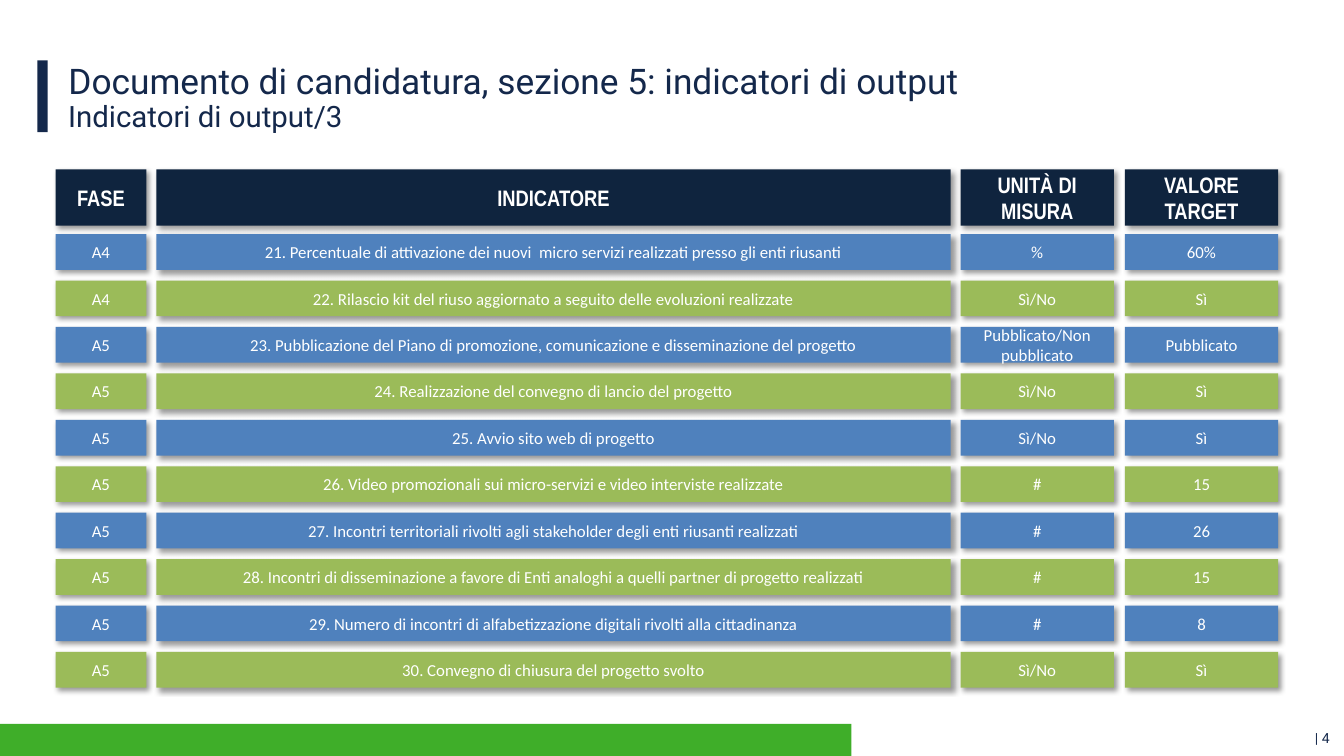
import pptx
import pptx.util
import pptx.dml.color
import pptx.enum.shapes
import pptx.enum.text
import pptx.oxml
import pptx.oxml.ns
from pptx.util import Cm

COLORS = {
    "navy": "14284B",
    "header": "0F243E",
    "blue": "4F81BD",
    "olive": "9BBB59",
    "green": "3FAE29",
    "white": "FFFFFF",
    "shadow": "000000",
}
ALIGN = pptx.enum.text.PP_ALIGN

# Columns: heading, left and width in cm
COLUMNS = [
    ("FASE", 1.4, 2.29),
    ("INDICATORE", 3.94, 20.02),
    ("UNITÀ DI MISURA", 24.21, 3.86),
    ("VALORE TARGET", 28.35, 3.86),
]
HEADER_TOP, HEADER_HEIGHT = 4.27, 1.42
ROW_TOP, ROW_HEIGHT, ROW_PITCH = 5.9, 0.9, 1.17

INDICATORS = [
    ("A4", "21. Percentuale di attivazione dei nuovi  micro servizi realizzati presso gli enti riusanti", "%", "60%"),
    ("A4", "22. Rilascio kit del riuso aggiornato a seguito delle evoluzioni realizzate", "Sì/No", "Sì"),
    ("A5", "23. Pubblicazione del Piano di promozione, comunicazione e disseminazione del progetto",
     "Pubblicato/Non pubblicato", "Pubblicato"),
    ("A5", "24. Realizzazione del convegno di lancio del progetto", "Sì/No", "Sì"),
    ("A5", "25. Avvio sito web di progetto", "Sì/No", "Sì"),
    ("A5", "26. Video promozionali sui micro-servizi e video interviste realizzate", "#", "15"),
    ("A5", "27. Incontri territoriali rivolti agli stakeholder degli enti riusanti realizzati", "#", "26"),
    ("A5", "28. Incontri di disseminazione a favore di Enti analoghi a quelli partner di progetto realizzati", "#", "15"),
    ("A5", "29. Numero di incontri di alfabetizzazione digitali rivolti alla cittadinanza", "#", "8"),
    ("A5", "30. Convegno di chiusura del progetto svolto", "Sì/No", "Sì"),
]


def rgb(name):
    return pptx.dml.color.RGBColor.from_string(COLORS[name])


def write(sp, text, size, font="Roboto", color="navy", bold=False,
          align=ALIGN.LEFT, spacing=None):
    tf = sp.text_frame
    tf.word_wrap = True
    tf.auto_size = pptx.enum.text.MSO_AUTO_SIZE.NONE
    tf.vertical_anchor = pptx.enum.text.MSO_ANCHOR.MIDDLE
    p = tf.paragraphs[0]
    p.alignment = align
    if spacing:
        p.line_spacing = spacing
    r = p.add_run()
    r.text = text
    r.font.size = pptx.util.Pt(size)
    r.font.name = font
    r.font.bold = bold
    r.font.color.rgb = rgb(color)


def add_bar(s, left, top, width, height, color):
    sp = s.shapes.add_shape(pptx.enum.shapes.MSO_SHAPE.RECTANGLE,
                            Cm(left), Cm(top), Cm(width), Cm(height))
    sp.shadow.inherit = False
    sp.fill.solid()
    sp.fill.fore_color.rgb = rgb(color)
    sp.line.fill.background()
    return sp


def add_shadow(sp):
    effects = sp._element.spPr.find(pptx.oxml.ns.qn("a:effectLst"))
    effects.append(pptx.oxml.parse_xml(
        f'<a:outerShdw {pptx.oxml.ns.nsdecls("a")} blurRad="50800" dist="38100" '
        f'dir="2700000" algn="tl" rotWithShape="0"><a:srgbClr val="{COLORS["shadow"]}">'
        '<a:alpha val="40000"/></a:srgbClr></a:outerShdw>'))


def add_cell(s, left, top, width, height, color, text, **fmt):
    sp = add_bar(s, left, top, width, height, color)
    add_shadow(sp)
    write(sp, text, color="white", align=ALIGN.CENTER, **fmt)


def add_label(s, left, top, width, height, text, **fmt):
    sp = s.shapes.add_textbox(Cm(left), Cm(top), Cm(width), Cm(height))
    write(sp, text, **fmt)


def add_title(s, text):
    sp = s.shapes.title
    sp.left, sp.top, sp.width, sp.height = Cm(1.47), Cm(1.52), Cm(30.48), Cm(1)
    write(sp, text, size=25.2)


def add_grid(s):
    for heading, left, width in COLUMNS:
        add_cell(s, left, HEADER_TOP, width, HEADER_HEIGHT, "header", heading,
                 size=16, font="Arial Narrow", bold=True)
    for i, row in enumerate(INDICATORS):
        color = ("blue", "olive")[i % 2]
        for (_, left, width), text in zip(COLUMNS, row):
            add_cell(s, left, ROW_TOP + i * ROW_PITCH, width, ROW_HEIGHT, color,
                     text, size=12, font="Calibri")


def main():
    prs = pptx.Presentation()
    prs.slide_width, prs.slide_height = Cm(33.87), Cm(19.05)
    s = prs.slides.add_slide(prs.slide_layouts[5])

    # Footer band, title accent and page number
    add_bar(s, 0, 18.24, 21.46, 0.81, "green")
    add_bar(s, 0.94, 1.52, 0.26, 1.81, "navy")
    add_label(s, 25.73, 18.24, 8.03, 0.69, "| 4", size=10, align=ALIGN.RIGHT)

    # Title and subtitle
    add_title(s, "Documento di candidatura, sezione 5: indicatori di output")
    add_label(s, 1.47, 2.51, 30.48, 1, "Indicatori di output/3", size=21, spacing=0.8)

    # Output indicators
    add_grid(s)
    prs.save("out.pptx")


if __name__ == "__main__":
    main()
